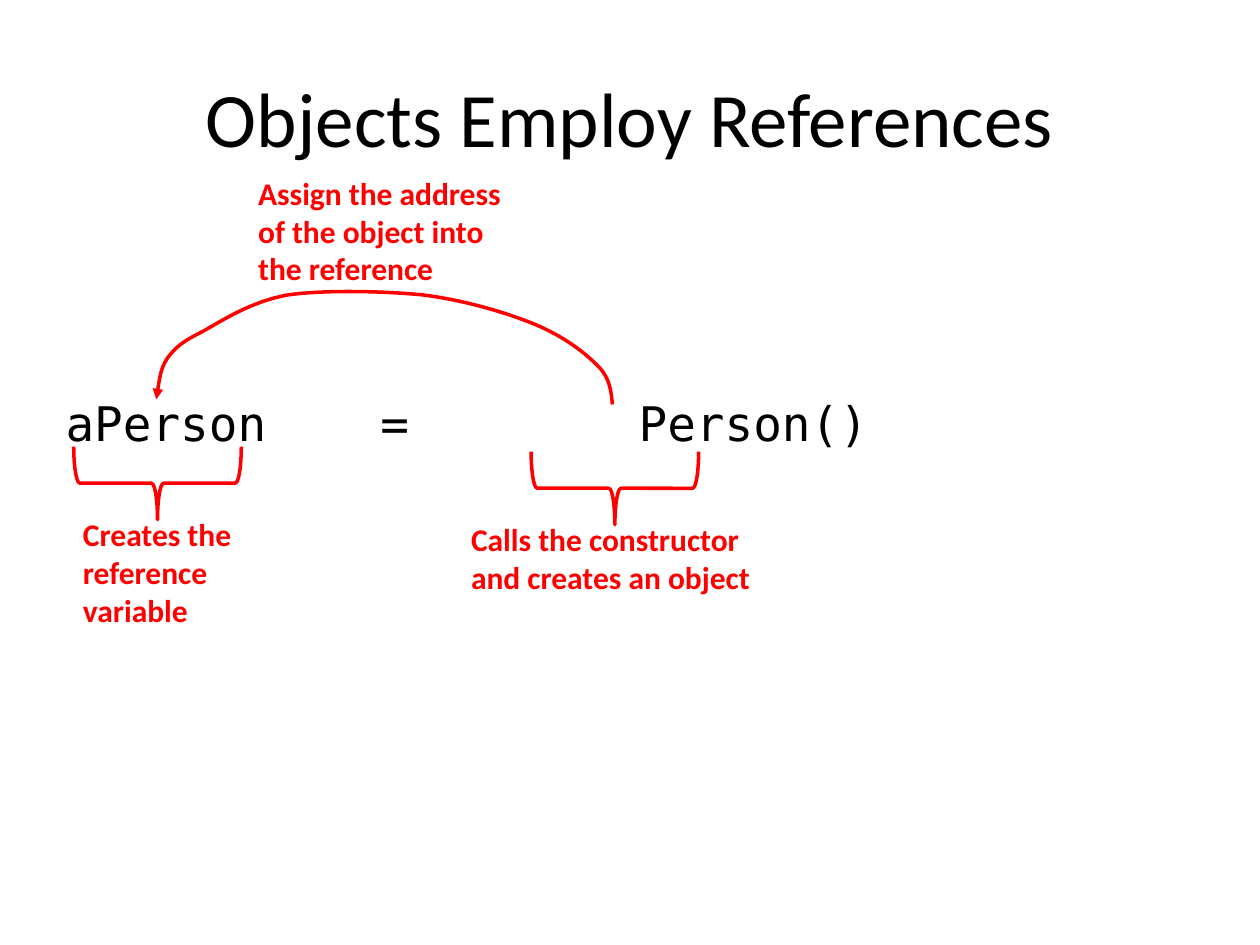
from dataclasses import dataclass

from lxml.etree import SubElement
from pptx import Presentation
from pptx.dml.color import RGBColor
from pptx.enum.shapes import MSO_SHAPE
from pptx.enum.text import MSO_ANCHOR, MSO_AUTO_SIZE, PP_ALIGN
from pptx.oxml.ns import qn
from pptx.shapes.base import BaseShape
from pptx.shapes.shapetree import GroupShapes
from pptx.slide import Slide
from pptx.text.text import _Paragraph as Paragraph
from pptx.util import Inches, Pt


@dataclass(frozen=True)
class Theme:
    """Colours, fonts and sizes of the slide."""
    ink: RGBColor = RGBColor(0, 0, 0)
    accent: RGBColor = RGBColor(255, 0, 0)
    font: str = "Calibri"
    code_font: str = "DejaVu Sans Mono"
    title_size: float = 44
    code_size: float = 27.2
    code_space_before: float = 5.44
    note_size: float = 18
    line_width: float = 2


@dataclass(frozen=True)
class Box:
    """Position and size in inches."""
    left: float
    top: float
    width: float
    height: float

    def lengths(self) -> tuple[Inches, ...]:
        """Return the four values as lengths."""
        return tuple(map(Inches, (self.left, self.top, self.width, self.height)))


@dataclass(frozen=True)
class CodePart:
    """One part of the statement and its horizontal extent."""
    text: str
    left: float
    width: float


@dataclass(frozen=True)
class BraceNote:
    """A note below a brace."""
    text: str
    text_box: Box
    brace_left: float
    brace_top: float


THEME = Theme()
CODE_TOP, CODE_HEIGHT = 3.08, 0.5
CODE_PARTS = (
    CodePart("aPerson", 0.42, 2.5),
    CodePart("=", 2.92, 2.05),
    CodePart("Person()", 4.97, 4.45),
)
BRACE_WIDTH, BRACE_HEIGHT = 0.58, 1.33
BRACE_NOTES = (
    BraceNote("Calls the constructor and creates an object", Box(3.64, 4.08, 2.5, 0.92), 4.59, 3.21),
    BraceNote("Creates the reference variable", Box(0.56, 4.04, 1.92, 0.92), 0.96, 3.17),
)
ARROW_START = (4.86, 3.21)
ARROW_CURVE = (
    (4.85, 3.1), (4.84, 2.99), (4.73, 2.89),
    (4.62, 2.78), (4.44, 2.65), (4.21, 2.56),
    (3.98, 2.47), (3.67, 2.38), (3.35, 2.34),
    (3.03, 2.31), (2.58, 2.3), (2.29, 2.34),
    (2, 2.39), (1.77, 2.54), (1.61, 2.63),
    (1.45, 2.71), (1.4, 2.75), (1.33, 2.84),
    (1.27, 2.93), (1.24, 3.17), (1.24, 3.17),
)


def place(shape: BaseShape, box: Box) -> None:
    """Move and resize a shape."""
    shape.left, shape.top, shape.width, shape.height = box.lengths()


def add_run(paragraph: Paragraph, text: str, size: float, color: RGBColor,
            font: str = THEME.font, bold: bool = False) -> None:
    """Add one formatted run."""
    run = paragraph.add_run()
    run.text = text
    run.font.name, run.font.size, run.font.bold = font, Pt(size), bold
    run.font.color.rgb = color


def add_note(shapes: GroupShapes, text: str, box: Box) -> None:
    """Add a wrapped bold note."""
    frame = shapes.add_textbox(*box.lengths()).text_frame
    frame.word_wrap = True
    add_run(frame.paragraphs[0], text, THEME.note_size, THEME.accent, bold=True)


def style_outline(shape: BaseShape) -> None:
    """Give a shape an accent outline without fill or shadow."""
    shape.shadow.inherit = False
    shape.fill.background()
    shape.line.color.rgb = THEME.accent
    shape.line.width = Pt(THEME.line_width)


def add_brace_note(shapes: GroupShapes, note: BraceNote) -> None:
    """Add a brace opening upwards and its note."""
    add_note(shapes, note.text, note.text_box)
    box = Box(note.brace_left, note.brace_top, BRACE_WIDTH, BRACE_HEIGHT)
    brace = shapes.add_shape(MSO_SHAPE.RIGHT_BRACE, *box.lengths())
    brace.rotation = 90
    style_outline(brace)


def add_curved_arrow(shapes: GroupShapes) -> None:
    """Draw the assignment arrow as a chain of cubic curves."""
    builder = shapes.build_freeform(*map(Inches, ARROW_START))
    builder.add_line_segments([(Inches(x), Inches(y)) for x, y in ARROW_CURVE], close=False)
    arrow = builder.convert_to_shape()
    style_outline(arrow)
    outline = next(arrow._element.iter(qn("a:path")))
    segments = outline.findall(qn("a:lnTo"))
    for index in range(0, len(segments), 3):
        curve = SubElement(outline, qn("a:cubicBezTo"))
        for segment in segments[index:index + 3]:
            curve.append(segment[0])
            outline.remove(segment)
    SubElement(arrow.line._get_or_add_ln(), qn("a:tailEnd"), type="triangle")


def fill_title(title: BaseShape) -> None:
    """Place and write the title."""
    place(title, Box(0.5, 0.3, 9, 1.25))
    title.text_frame.vertical_anchor = MSO_ANCHOR.MIDDLE
    paragraph = title.text_frame.paragraphs[0]
    paragraph.alignment = PP_ALIGN.CENTER
    add_run(paragraph, "Objects Employ References", THEME.title_size, THEME.ink)


def fill_code(shape: BaseShape, part: CodePart) -> None:
    """Place and write one part of the statement without a bullet."""
    place(shape, Box(part.left, CODE_TOP, part.width, CODE_HEIGHT))
    frame = shape.text_frame
    frame.word_wrap = True
    frame.auto_size = MSO_AUTO_SIZE.NONE
    paragraph = frame.paragraphs[0]
    paragraph.space_before = Pt(THEME.code_space_before)
    properties = paragraph._p.get_or_add_pPr()
    properties.set("marL", "0")
    properties.set("indent", "0")
    SubElement(properties, qn("a:buNone"))
    add_run(paragraph, part.text, THEME.code_size, THEME.ink, THEME.code_font)


def add_statement(slide: Slide) -> None:
    """Write the statement, starting in the body placeholder."""
    first, *others = CODE_PARTS
    fill_code(slide.placeholders[1], first)
    for part in others:
        fill_code(slide.shapes.add_textbox(0, 0, 0, 0), part)


def main() -> None:
    """Build and save the slide."""
    presentation = Presentation()
    presentation.slide_width, presentation.slide_height = Inches(10), Inches(7.5)
    slide = presentation.slides.add_slide(presentation.slide_layouts[1])
    fill_title(slide.shapes.title)
    add_statement(slide)
    for note in BRACE_NOTES:
        add_brace_note(slide.shapes.add_group_shape().shapes, note)
    assignment = slide.shapes.add_group_shape().shapes
    add_curved_arrow(assignment)
    add_note(assignment, "Assign the address of the object into the reference",
             Box(1.95, 1.33, 2.38, 1.15))
    presentation.save("out.pptx")


main()
